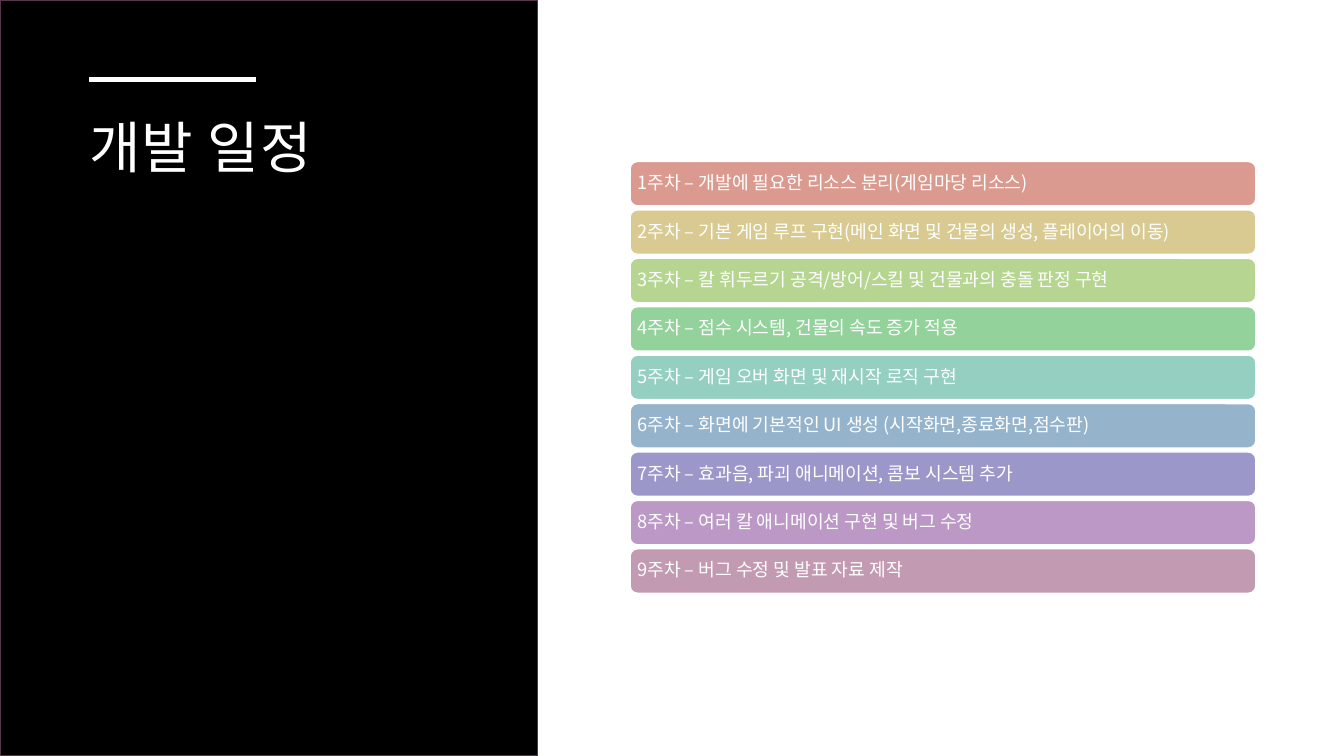
from lxml.etree import SubElement
from pptx import Presentation
from pptx.dml.color import RGBColor
from pptx.enum.shapes import MSO_CONNECTOR, MSO_SHAPE
from pptx.enum.text import MSO_ANCHOR, PP_ALIGN
from pptx.oxml.ns import qn
from pptx.util import Cm, Pt

BLACK = RGBColor(0x00, 0x00, 0x00)
WHITE = RGBColor(0xFF, 0xFF, 0xFF)
PLUM = RGBColor(0x55, 0x37, 0x4C)
RED = RGBColor(0xDB, 0x9A, 0x8F)
SAND = RGBColor(0xD8, 0xCA, 0x90)
LIME = RGBColor(0xB6, 0xD5, 0x91)
GREEN = RGBColor(0x93, 0xD2, 0x9B)
TEAL = RGBColor(0x94, 0xCF, 0xC2)
BLUE = RGBColor(0x95, 0xB4, 0xCC)
INDIGO = RGBColor(0x9C, 0x97, 0xC9)
PURPLE = RGBColor(0xBB, 0x98, 0xC5)
ROSE = RGBColor(0xC2, 0x9A, 0xB1)

WEEKS = [
    ("개발에 필요한 리소스 분리(게임마당 리소스)", RED),
    ("기본 게임 루프 구현(메인 화면 및 건물의 생성, 플레이어의 이동)", SAND),
    ("칼 휘두르기 공격/방어/스킬 및 건물과의 충돌 판정 구현", LIME),
    ("점수 시스템, 건물의 속도 증가 적용", GREEN),
    ("게임 오버 화면 및 재시작 로직 구현", TEAL),
    ("화면에 기본적인 UI 생성 (시작화면,종료화면,점수판)", BLUE),
    ("효과음, 파괴 애니메이션, 콤보 시스템 추가", INDIGO),
    ("여러 칼 애니메이션 구현 및 버그 수정", PURPLE),
    ("버그 수정 및 발표 자료 제작", ROSE),
]


class Deck:
    font = "Noto Sans CJK KR"

    def __init__(self, prs):
        self.s = prs.slides.add_slide(prs.slide_layouts[6])

    def label(self, sp, text, size, anchor, inset, line_spacing=1.0, tracking=0):
        tf = sp.text_frame
        frame = {"word_wrap": True, "vertical_anchor": anchor}
        for side in ("left", "top", "right", "bottom"):
            frame[f"margin_{side}"] = Cm(inset)
        for name, value in frame.items():
            setattr(tf, name, value)
        p = tf.paragraphs[0]
        p.alignment = PP_ALIGN.LEFT
        p.line_spacing = line_spacing
        r = p.add_run()
        r.text = text
        r.font.color.rgb = WHITE
        for name, value in {"name": self.font, "size": Pt(size)}.items():
            setattr(r.font, name, value)
        # East Asian typeface and letter spacing
        rPr = r._r.get_or_add_rPr()
        SubElement(rPr, qn("a:ea")).set("typeface", self.font)
        if tracking:
            rPr.set("spc", str(tracking))

    def box(self, kind, x, y, w, h, fill, line):
        sp = self.s.shapes.add_shape(kind, Cm(x), Cm(y), Cm(w), Cm(h))
        sp.shadow.inherit = False
        sp.fill.solid()
        sp.fill.fore_color.rgb = fill
        sp.line.color.rgb = line
        sp.line.width = Pt(1)
        return sp

    def title(self, text, x, y, w, h):
        sp = self.s.shapes.add_textbox(Cm(x), Cm(y), Cm(w), Cm(h))
        self.label(sp, text, 40, MSO_ANCHOR.TOP, 0.3, tracking=70)

    def rule(self, x1, x2, y):
        line = self.s.shapes.add_connector(
            MSO_CONNECTOR.STRAIGHT, Cm(x1), Cm(y), Cm(x2), Cm(y))
        line.line.color.rgb = WHITE
        line.line.width = Pt(3.5)
        SubElement(line._element.spPr, qn("a:effectLst"))

    def bar(self, text, x, y, w, h, fill):
        sp = self.box(MSO_SHAPE.ROUNDED_RECTANGLE, x, y, w, h, fill, WHITE)
        self.label(sp, text, 13, MSO_ANCHOR.MIDDLE, 0.13, line_spacing=0.9)


def main():
    prs = Presentation()
    prs.slide_width, prs.slide_height = Cm(33.87), Cm(19.05)
    deck = Deck(prs)

    # Title panel
    deck.box(MSO_SHAPE.RECTANGLE, 0, 0, 13.55, 19.05, BLACK, PLUM)
    deck.title("개발 일정", 1.96, 2.54, 10.34, 10.19)
    deck.rule(2.24, 6.45, 2.01)

    # Weekly schedule
    for i, (task, color) in enumerate(WEEKS):
        deck.bar(f"{i + 1}주차 – {task}", 15.88, 4.07 + i * 1.22, 15.77, 1.12, color)

    prs.save("out.pptx")


if __name__ == "__main__":
    main()
